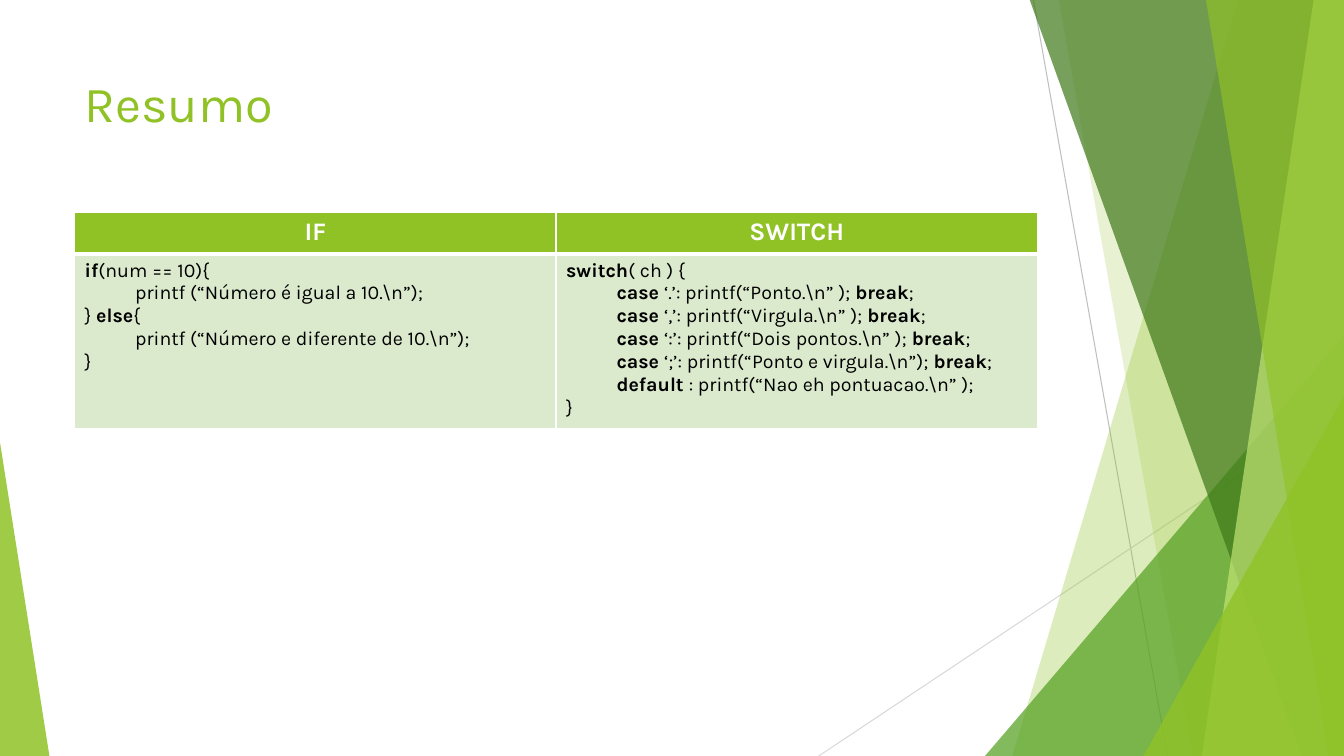
from lxml import etree
from pptx import Presentation
from pptx.dml.color import RGBColor
from pptx.enum.shapes import MSO_CONNECTOR, MSO_SHAPE
from pptx.enum.text import MSO_ANCHOR, PP_ALIGN
from pptx.oxml.ns import qn
from pptx.util import Inches, Pt

LINE = MSO_CONNECTOR.STRAIGHT
TRIANGLE = MSO_SHAPE.ISOSCELES_TRIANGLE
TOP = MSO_ANCHOR.TOP
LEFT, CENTER = PP_ALIGN.LEFT, PP_ALIGN.CENTER

GREEN = RGBColor(0x90, 0xC2, 0x26)
LEAF = RGBColor(0x54, 0xA0, 0x21)
FOREST = RGBColor(0x3F, 0x78, 0x19)
LIME = RGBColor(0xC0, 0xE4, 0x74)
PALE = RGBColor(0xDB, 0xE9, 0xCD)
GRAY = RGBColor(0xBF, 0xBF, 0xBF)
SILVER = RGBColor(0xD9, 0xD9, 0xD9)
WHITE = RGBColor(0xFF, 0xFF, 0xFF)
BLACK = RGBColor(0, 0, 0)

FONT = "Karla"
WIDTH, HEIGHT = 13.33, 7.5

# Asterisks switch bold on and off
IF_CODE = [
    "*if*(num == 10){",
    "\tprintf (“Número é igual a 10.\\n”);",
    "} *else*{",
    "\tprintf (“Número e diferente de 10.\\n”);",
    "}",
]
SWITCH_CODE = [
    "*switch*( ch ) {",
    "*\tcase *‘.’: printf(“Ponto.\\n” ); *break*;",
    "*\tcase *‘,’: printf(“Virgula.\\n” ); *break*;",
    "*\tcase *‘:’: printf(“Dois pontos.\\n” ); *break*;",
    "*\tcase *‘;’: printf(“Ponto e virgula.\\n”); *break*;",
    "*\tdefault *: printf(“Nao eh pontuacao.\\n” );",
    "}",
]


def add_line(slide, start, end, color):
    line = slide.shapes.add_connector(LINE, *map(Inches, start + end))
    line.line.color.rgb = color
    line.line.width = Pt(0.75)
    etree.SubElement(line._element.spPr, qn("a:effectLst"))


def paint(shape, color, alpha):
    shape.shadow.inherit = False
    shape.line.fill.background()
    shape.fill.solid()
    shape.fill.fore_color.rgb = color
    tone = shape._element.spPr.find(".//" + qn("a:srgbClr"))
    etree.SubElement(tone, qn("a:alpha"), val=str(alpha * 1000))


def add_band(slide, top, base, color, alpha):
    """Fill from a slanted edge to the right side of the slide."""
    form = slide.shapes.build_freeform(Inches(top), Inches(-0.01))
    corners = [(WIDTH, -0.01), (WIDTH, HEIGHT), (base, HEIGHT)]
    form.add_line_segments([(Inches(x), Inches(y)) for x, y in corners])
    paint(form.convert_to_shape(), color, alpha)


def add_peak(slide, left, top, width, tip, color, alpha):
    """Right triangle that stands on the bottom of the slide."""
    box = map(Inches, (left, top, width, HEIGHT - top))
    peak = slide.shapes.add_shape(TRIANGLE, *box)
    peak.adjustments[0] = tip
    paint(peak, color, alpha)


def add_run(para, text, size, color, bold=False):
    run = para.add_run()
    run.text = text
    run.font.name = FONT
    run.font.size = Pt(size)
    run.font.bold = bold
    run.font.color.rgb = color


def add_title(slide, text):
    box = slide.shapes.add_textbox(*map(Inches, (0.74, 0.67, 9.4, 1.44)))
    frame = box.text_frame
    frame.word_wrap = True
    frame.vertical_anchor = TOP
    add_run(frame.paragraphs[0], text, 36, GREEN)


def set_tab(para):
    tabs = etree.SubElement(para._p.get_or_add_pPr(), qn("a:tabLst"))
    etree.SubElement(tabs, qn("a:tab"), pos=str(Inches(0.5)), algn="l")


def set_edges(cell, top, bottom):
    props = cell._tc.get_or_add_tcPr()
    for side, width in zip("LRTB", (1, 1, top, bottom)):
        edge = etree.SubElement(props, qn("a:ln" + side), w=str(Pt(width)))
        fill = etree.SubElement(edge, qn("a:solidFill"))
        etree.SubElement(fill, qn("a:srgbClr"), val=str(WHITE))


def fill_cell(cell, lines, size, color, back, align, edges):
    set_edges(cell, *edges)
    cell.fill.solid()
    cell.fill.fore_color.rgb = back
    frame = cell.text_frame
    for row, line in enumerate(lines):
        para = frame.add_paragraph() if row else frame.paragraphs[0]
        para.alignment = align
        if "\t" in line:
            set_tab(para)
        for part, text in enumerate(line.split("*")):
            if text:
                add_run(para, text, size, color, part % 2 == 1)


def add_code(slide, columns):
    box = map(Inches, (0.74, 2.11, 9.55, 2.08))
    table = slide.shapes.add_table(2, len(columns), *box).table
    table.horz_banding = False
    table.rows[0].height = Inches(0.41)
    table.rows[1].height = Inches(1.67)
    for col, (head, code) in enumerate(columns):
        fill_cell(table.cell(0, col), [f"*{head}*"], 18, WHITE, GREEN,
                  CENTER, (1, 3))
        fill_cell(table.cell(1, col), code, 14, BLACK, PALE, LEFT, (3, 1))


def main():
    deck = Presentation()
    deck.slide_width, deck.slide_height = Inches(WIDTH), Inches(HEIGHT)
    slide = deck.slides.add_slide(deck.slide_layouts[6])

    # Green facets, from back to front
    add_line(slide, (10.25, 0), (11.58, HEIGHT), GRAY)
    add_line(slide, (WIDTH, 4.03), (8.12, HEIGHT), SILVER)
    add_band(slide, 12.28, 10.04, GREEN, 30)
    add_band(slide, 10.5, 11.83, GREEN, 20)
    add_peak(slide, 9.77, 3.33, 3.56, 1, LEAF, 72)
    add_band(slide, 10.21, 12.91, FOREST, 70)
    add_band(slide, 13.03, 11.92, LIME, 70)
    add_band(slide, 11.96, 13.18, GREEN, 65)
    add_peak(slide, 11.34, 3.93, 1.99, 1, GREEN, 80)
    add_peak(slide, 0, 4.39, 0.49, 0, GREEN, 85)

    # Title and code table
    add_title(slide, "Resumo")
    add_code(slide, [("IF", IF_CODE), ("SWITCH", SWITCH_CODE)])

    deck.save("out.pptx")


if __name__ == "__main__":
    main()
